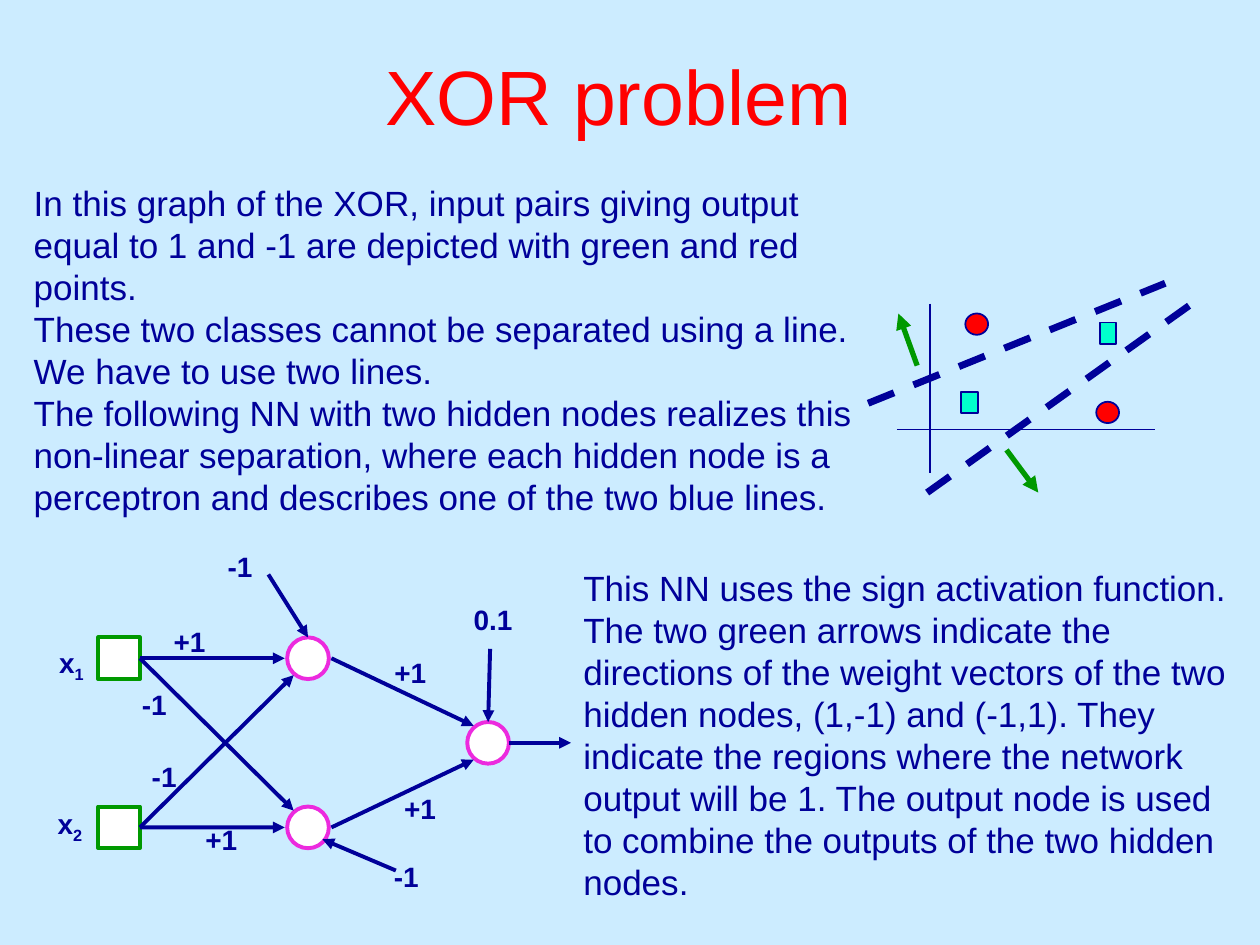
import pptx
import pptx.util
import pptx.dml.color
import pptx.enum.dml
import pptx.enum.shapes
import pptx.enum.text
import pptx.oxml
import pptx.oxml.ns
from dataclasses import dataclass

Cm = pptx.util.Cm
Pt = pptx.util.Pt
Shape = pptx.enum.shapes.MSO_SHAPE
Align = pptx.enum.text.PP_ALIGN
Anchor = pptx.enum.text.MSO_ANCHOR


@dataclass(frozen=True)
class Theme:
    font: str = "Arial"
    background: str = "CCECFF"
    title: str = "FF0000"
    ink: str = "000099"
    green: str = "009900"
    neuron: str = "EC2ADE"
    white: str = "FFFFFF"
    positive: str = "00FFCC"
    negative: str = "FF0000"
    title_size: int = 44
    body_size: int = 20
    label_size: int = 16


THEME = Theme()


def rgb(colour):
    return pptx.dml.color.RGBColor.from_string(colour)


def add_run(paragraph, text, size, colour, bold=False, subscript=False):
    run = paragraph.add_run()
    run.text = text
    run.font.name = THEME.font
    run.font.size = Pt(size)
    run.font.bold = bold
    run.font.color.rgb = rgb(colour)
    if subscript:
        run.font._element.set("baseline", "-25000")


def add_marker(shapes, kind, left, top, width, height, fill, line, weight):
    marker = shapes.add_shape(kind, Cm(left), Cm(top), Cm(width), Cm(height))
    marker.shadow.inherit = False
    marker.fill.solid()
    marker.fill.fore_color.rgb = rgb(fill)
    marker.line.color.rgb = rgb(line)
    marker.line.width = Pt(weight)
    return marker


def add_line(shapes, start, end, colour, weight, arrow=False, dashed=False):
    line = shapes.add_connector(
        pptx.enum.shapes.MSO_CONNECTOR.STRAIGHT, *map(Cm, (*start, *end)))
    line.line.color.rgb = rgb(colour)
    line.line.width = Pt(weight)
    if dashed:
        line.line.dash_style = pptx.enum.dml.MSO_LINE.DASH
    namespace = pptx.oxml.ns.nsdecls("a")
    if arrow:
        line.line._get_or_add_ln().append(
            pptx.oxml.parse_xml(f'<a:tailEnd {namespace} type="triangle"/>'))
    line._element.spPr.append(pptx.oxml.parse_xml(f"<a:effectLst {namespace}/>"))
    return line


def add_title(slide, text, left, top, width, height):
    frame = slide.shapes.add_textbox(*map(Cm, (left, top, width, height))).text_frame
    frame.word_wrap = True
    frame.vertical_anchor = Anchor.MIDDLE
    frame.paragraphs[0].alignment = Align.CENTER
    add_run(frame.paragraphs[0], text, THEME.title_size, THEME.title)


def add_explanation(slide, sentences, left, top, width, height):
    frame = slide.shapes.add_textbox(*map(Cm, (left, top, width, height))).text_frame
    frame.word_wrap = True
    for index, sentence in enumerate(sentences):
        paragraph = frame.add_paragraph() if index else frame.paragraphs[0]
        add_run(paragraph, sentence, THEME.body_size, THEME.ink)


def add_label(shapes, text, x, y, subscript=""):
    width = {"+1": 1.25, "0.1": 1.4}.get(text, 1.1)
    height = 0.94
    label = shapes.add_textbox(
        Cm(x - width / 2), Cm(y - height / 2), Cm(width), Cm(height))
    frame = label.text_frame
    frame.word_wrap = False
    frame.vertical_anchor = Anchor.MIDDLE
    paragraph = frame.paragraphs[0]
    paragraph.alignment = Align.CENTER
    add_run(paragraph, text, THEME.label_size, THEME.ink, bold=True)
    if subscript:
        add_run(paragraph, subscript, THEME.label_size, THEME.ink, True, True)


def add_network(slide, left, top):
    shapes = slide.shapes.add_group_shape().shapes
    node, gap, inset = 0.84, 0.05, 0.13
    input_x, hidden_x, output_x = 1.07, 4.88, 8.51
    rows = (1.9, 5.31)
    output_y = sum(rows) / 2

    def at(x, y):
        return left + x, top + y

    def add_node(kind, x, y, colour):
        return add_marker(shapes, kind, *at(x, y), node, node, THEME.white, colour, 2.25)

    def add_arrow(start, end):
        return add_line(shapes, at(*start), at(*end), THEME.ink, 2.25, arrow=True)

    inputs = [add_node(Shape.RECTANGLE, input_x, y, THEME.green) for y in rows]
    hidden = [add_node(Shape.OVAL, hidden_x, y, THEME.neuron) for y in rows]
    output = add_node(Shape.OVAL, output_x, output_y, THEME.neuron)

    for row, entry in enumerate((0.08, node - 0.08)):
        centre = rows[row] + node / 2
        crossing = rows[1 - row] + entry
        source = (input_x + node, centre)
        for target in ((hidden_x - gap, centre), (hidden_x + inset, crossing)):
            add_arrow(source, target).begin_connect(inputs[row], 3)
        add_arrow((hidden_x + node + gap, centre), (output_x + inset, output_y + entry))

    output_centre = output_y + node / 2
    add_arrow((output_x + node, output_centre), (10.6, output_centre))
    add_arrow((4.5, 0.63), (hidden_x + node / 2, rows[0])).end_connect(hidden[0], 0)
    add_arrow((8.97, 2.13), (output_x + node / 2, output_y)).end_connect(output, 0)
    add_arrow((7.07, 6.6), (5.59, 5.97))

    for text, x, y in (
        ("-1", 3.93, 0.47), ("0.1", 9.03, 1.53), ("+1", 2.91, 1.97),
        ("+1", 7.36, 2.6), ("-1", 2.2, 3.24), ("-1", 2.4, 4.71),
        ("+1", 7.56, 5.34), ("+1", 3.55, 5.98), ("-1", 7.28, 6.72),
    ):
        add_label(shapes, text, *at(x, y))
    add_label(shapes, "x", *at(0.53, 2.45), subscript="1")
    add_label(shapes, "x", *at(0.5, 5.7), subscript="2")


def add_graph(slide, left, top):
    shapes = slide.shapes.add_group_shape().shapes

    def at(x, y):
        return left + x, top + y

    for start, end in (((0.99, 1.66), (0.61, 0.61)), ((2.79, 3.36), (3.43, 4.22))):
        add_line(shapes, at(*start), at(*end), THEME.green, 3, arrow=True)
    for start, end in (((1.25, 0.41), (1.25, 3.82)), ((0.58, 2.95), (5.79, 2.95))):
        add_line(shapes, at(*start), at(*end), THEME.ink, 1)
    for kind, width, fill, points in (
        (Shape.RECTANGLE, 0.33, THEME.positive, ((1.88, 2.19), (4.67, 0.79))),
        (Shape.OVAL, 0.46, THEME.negative, ((1.96, 0.61), (4.6, 2.39))),
    ):
        for point in points:
            add_marker(shapes, kind, *at(*point), width, 0.43, fill, THEME.ink, 1)
    for start, end in (((1.19, 4.22), (6.81, 0.21)), ((0, 2.42), (5.99, 0))):
        add_line(shapes, at(*start), at(*end), THEME.ink, 4, dashed=True)


def main():
    deck = pptx.Presentation()
    deck.slide_width, deck.slide_height = Cm(25.4), Cm(19.05)
    slide = deck.slides.add_slide(deck.slide_layouts[6])
    slide.background.fill.solid()
    slide.background.fill.fore_color.rgb = rgb(THEME.background)

    add_title(slide, "XOR problem ", 1.47, 1.27, 22.43, 1.27)
    add_network(slide, 0.91, 10.95)
    add_explanation(slide, (
        "In this graph of the XOR, input pairs giving output equal to 1 and -1 "
        "are depicted with green and red points.",
        "These two classes cannot be separated using a line. We have to use two lines.",
        "The following NN with two hidden nodes realizes this non-linear separation, "
        "where each hidden node is a perceptron and describes one of the two blue lines.",
    ), 0.43, 3.53, 17.07, 7.04)
    add_explanation(slide, (
        "This NN uses the sign activation function. The two green arrows indicate the "
        "directions of the weight vectors of the two hidden nodes, (1,-1) and (-1,1). They",
        "indicate the regions where the network output will be 1. The output node is used "
        "to combine the outputs of the two hidden nodes.",
    ), 11.51, 11.3, 13.49, 7.04)
    add_graph(slide, 17.5, 5.71)
    deck.save("out.pptx")


if __name__ == "__main__":
    main()
